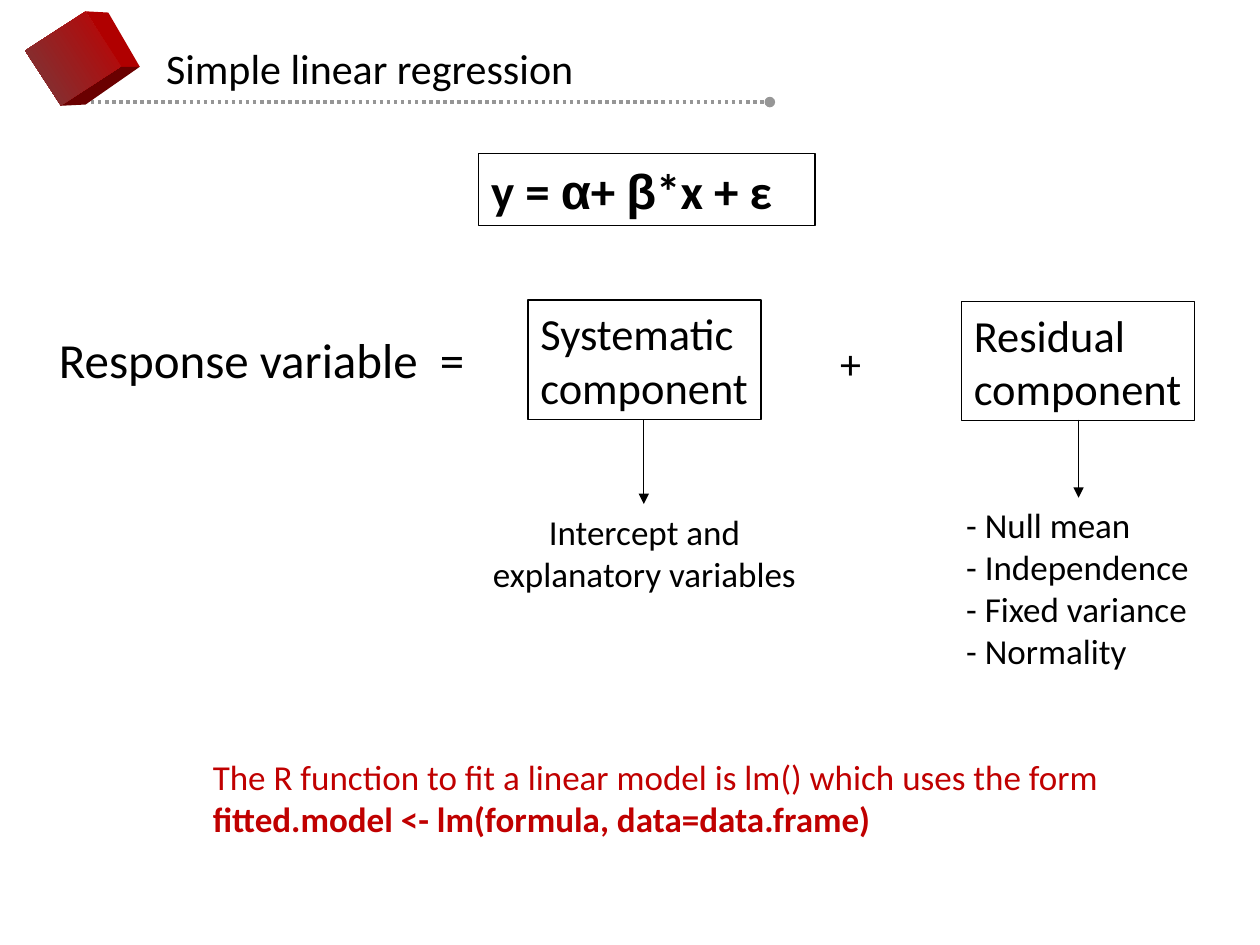
"""Build a slide that explains simple linear regression."""
from lxml import etree
from pptx import Presentation
from pptx.dml.color import RGBColor
from pptx.enum import dml, shapes, text
from pptx.oxml import ns
from pptx.util import Inches, Pt

HUES = {"ink": "000000", "red": "C00000", "wine": "76393B",
        "grey": "969696", "side": "B00000", "base": "6A0000"}


def hue(name):
    return RGBColor.from_string(HUES[name])


def write(rows, box, size=20, color="ink", bold=(), align="LEFT", wrap=False, frame=False):
    area = [Inches(n) for n in box]
    if frame:
        shape = slide.shapes.add_shape(shapes.MSO_SHAPE.RECTANGLE, *area)
        shape.shadow.inherit = False
        shape.fill.background()
        shape.line.color.rgb = hue("ink")
        shape.line.width = Pt(0.75)
    else:
        shape = slide.shapes.add_textbox(*area)
    body = shape.text_frame
    body.word_wrap = wrap
    body.auto_size = text.MSO_AUTO_SIZE.SHAPE_TO_FIT_TEXT
    for i, row in enumerate(rows):
        para = body.paragraphs[0] if i == 0 else body.add_paragraph()
        para.alignment = text.PP_ALIGN[align]
        for part in [row] if isinstance(row, str) else row:
            run = para.add_run()
            run.text = part
            run.font.name = "Arial" if part in "αβ" else "Calibri"
            run.font.size = Pt(size)
            run.font.bold = i in bold
            run.font.color.rgb = hue(color)


deck = Presentation()
deck.slide_width, deck.slide_height = Inches(10), Inches(7.5)
slide = deck.slides.add_slide(deck.slide_layouts[6])

write(["Response variable  ="], (0.37, 2.57, 3.44, 0.56), size=28)
write(["Systematic", "component"], (4.19, 2.38, 1.85, 0.95), size=25.4, frame=True)
write(["Residual", "component"], (7.63, 2.39, 1.85, 0.95), size=25.4, frame=True)
write(["Intercept and explanatory variables"], (3.78, 4, 2.67, 0.76),
      align="CENTER", wrap=True)
write(["- Null mean", "- Independence", "- Fixed variance", "- Normality"],
      (7.57, 3.95, 1.97, 1.44))
write(["+"], (6.57, 2.63, 0.35, 0.5), size=24)
write(["The R function to fit a linear model is lm() which uses the form",
       "fitted.model <- lm(formula, data=data.frame)"],
      (1.59, 5.95, 8.32, 0.77), color="red", bold=(1,), wrap=True)
write(["Simple linear regression"], (1.2, 0.29, 3.47, 0.5), size=24, align="CENTER")
write([["y = ", "α", "+ ", "β", "*x + ε"]], (3.8, 1.22, 2.67, 0.57), size=28,
      bold=(0,), wrap=True, frame=True)

for ends, color, width, tip in [
    ((5.11, 3.33, 5.11, 4), "ink", 0.75, "triangle"),
    ((8.56, 3.33, 8.56, 3.95), "ink", 0.75, "triangle"),
    ((0.61, 0.81, 6.11, 0.81), "grey", 2, "oval"),
]:
    link = slide.shapes.add_connector(
        shapes.MSO_CONNECTOR.STRAIGHT, *[Inches(n) for n in ends])
    link.line.color.rgb = hue(color)
    link.line.width = Pt(width)
    if tip == "oval":
        link.line.dash_style = dml.MSO_LINE.ROUND_DOT
    tail = etree.SubElement(link.line._get_or_add_ln(), ns.qn("a:tailEnd"))
    tail.set("type", tip)
    etree.SubElement(link._element.spPr, ns.qn("a:effectLst"))

for color, spots in [
    ("side", [(0.68, 0.09), (0.86, 0.1), (1.11, 0.53), (0.96, 0.53)]),
    ("base", [(0.48, 0.84), (0.68, 0.83), (1.11, 0.53), (0.96, 0.53)]),
]:
    pen = slide.shapes.build_freeform(*[Inches(n) for n in spots[0]])
    pen.add_line_segments([(Inches(x), Inches(y)) for x, y in spots[1:]])
    face = pen.convert_to_shape()
    face.shadow.inherit = False
    face.fill.solid()
    face.fill.fore_color.rgb = hue(color)
    face.line.fill.background()

front = slide.shapes.add_shape(
    shapes.MSO_SHAPE.RECTANGLE, Inches(0.32), Inches(0.18), Inches(0.52), Inches(0.57))
front.rotation = 57
front.shadow.inherit = False
front.line.fill.background()
front.fill.gradient()
front.fill.gradient_angle = 270
for stop, color in zip(front.fill.gradient_stops, ("red", "wine")):
    stop.color.rgb = hue(color)

deck.save("out.pptx")
